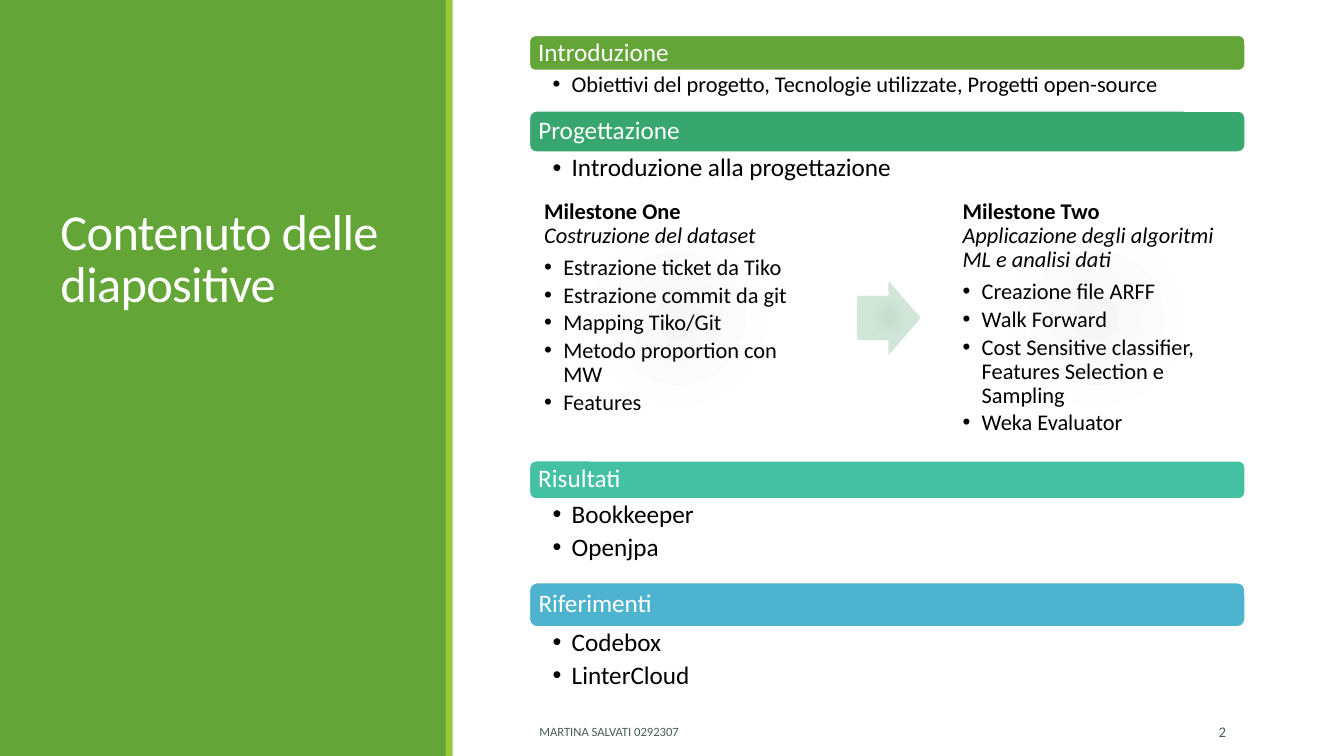
import pptx
import pptx.util
import pptx.dml.color
import pptx.enum.shapes
import pptx.enum.text
import pptx.oxml
import pptx.oxml.ns

Inches = pptx.util.Inches
Pt = pptx.util.Pt
SHAPE = pptx.enum.shapes.MSO_SHAPE
ANCHOR = pptx.enum.text.MSO_ANCHOR
ALIGN = pptx.enum.text.PP_ALIGN

COLORS = {
    "panel": "63A537", "stripe": "99CB38", "white": "FFFFFF", "black": "000000",
    "footer": "455F51", "intro": "63A537", "design": "37A76F",
    "results": "44C1A3", "references": "4EB3CF",
}
CARD_STOPS = {0: "F6F6F6", 45: "FEFEFE", 100: "FFFFFF"}
ARROW_STOPS = {0: "C5DDCE", 45: "D1E5D8", 100: "D5EADC"}

SECTIONS = [
    ("Introduzione", "intro", 0.35, 0.35, 0.4, 16,
     ["Obiettivi del progetto, Tecnologie utilizzate, Progetti open-source"]),
    ("Progettazione", "design", 1.1, 0.41, 3.05, 18, ["Introduzione alla progettazione"]),
    ("Risultati", "results", 4.57, 0.38, 0.83, 18, ["Bookkeeper", "Openjpa"]),
    ("Riferimenti", "references", 5.78, 0.44, 0.83, 18, ["Codebox", "LinterCloud"]),
]
MILESTONES = [
    ("Milestone One", "Costruzione del dataset",
     ["Estrazione ticket da Tiko", "Estrazione commit da git", "Mapping Tiko/Git",
      "Metodo proportion con MW", "Features"]),
    ("Milestone Two", "Applicazione degli algoritmi ML e analisi dati",
     ["Creazione file ARFF", "Walk Forward",
      "Cost Sensitive classifier, Features Selection e Sampling", "Weka Evaluator"]),
]


def rgb(name):
    """Return the palette colour with this name."""
    return pptx.dml.color.RGBColor.from_string(COLORS[name])


def apply(obj, **fmt):
    """Set each format value as an attribute."""
    for key, value in fmt.items():
        setattr(obj, key, value)


def place(sp, x, y, w, h):
    """Move and size a shape, in inches."""
    apply(sp, left=Inches(x), top=Inches(y), width=Inches(w), height=Inches(h))


def frame(sp, anchor, left=0.1, top=0.05, right=0.1, bottom=0.05):
    """Set up the text frame of a shape and return it."""
    tf = sp.text_frame
    apply(tf, word_wrap=True, auto_size=pptx.enum.text.MSO_AUTO_SIZE.NONE,
          vertical_anchor=anchor, margin_left=Inches(left), margin_top=Inches(top),
          margin_right=Inches(right), margin_bottom=Inches(bottom))
    return tf


def add_run(p, text, size, color, bold=False, italic=False):
    """Add a formatted run to a paragraph."""
    r = p.add_run()
    r.text = text
    apply(r.font, name="Calibri", size=Pt(size), bold=bold, italic=italic)
    r.font.color.rgb = rgb(color)
    return r


def format_par(p, spacing=0.9, after=0, align=ALIGN.LEFT):
    """Set the spacing and alignment of a paragraph."""
    apply(p, line_spacing=spacing, space_before=Pt(0), space_after=Pt(after), alignment=align)


def add_bullet(p, text, size, gap):
    """Fill a paragraph as a bulleted item, with its gap a share of the size."""
    format_par(p, after=size * gap)
    pPr = p._p.get_or_add_pPr()
    pPr.set("marL", str(Inches(0.19)))
    pPr.set("indent", str(-Inches(0.19)))
    ns = pptx.oxml.ns.nsdecls("a")
    pPr.append(pptx.oxml.parse_xml(f'<a:buFont {ns} typeface="Arial"/>'))
    pPr.append(pptx.oxml.parse_xml(f'<a:buChar {ns} char="•"/>'))
    add_run(p, text, size, "black")


def add_box(s, kind, x, y, w, h, color=None):
    """Add a preset shape with no shadow or line."""
    sp = s.shapes.add_shape(kind, Inches(x), Inches(y), Inches(w), Inches(h))
    sp.shadow.inherit = False
    sp.line.fill.background()
    if color:
        sp.fill.solid()
        sp.fill.fore_color.rgb = rgb(color)
    return sp


def fill_radial(sp, stops):
    """Give a shape a circular gradient."""
    gs = "".join(f'<a:gs pos="{pos * 1000}"><a:srgbClr val="{c}"/></a:gs>'
                 for pos, c in stops.items())
    grad = pptx.oxml.parse_xml(
        f'<a:gradFill {pptx.oxml.ns.nsdecls("a")} rotWithShape="1"><a:gsLst>{gs}</a:gsLst>'
        '<a:path path="circle"><a:fillToRect l="100000" t="100000" r="100000" b="100000"/>'
        '</a:path></a:gradFill>')
    sp._element.spPr.find(pptx.oxml.ns.qn("a:prstGeom")).addnext(grad)


def add_panel(s, x, y, w, h):
    """Draw the green side panel with the slide title."""
    add_box(s, SHAPE.RECTANGLE, x, y, w, h, "panel")
    add_box(s, SHAPE.RECTANGLE, x + w - 0.01, y, 0.07, h, "stripe")
    title = s.shapes.title
    s.shapes._spTree.append(title._element)
    place(title, x + 0.5, y + 0.65, 3.5, 2.5)
    p = frame(title, ANCHOR.BOTTOM).paragraphs[0]
    format_par(p, 0.85)
    r = add_run(p, "Contenuto delle diapositive", 36, "white")
    r.font._element.set("spc", "-50")


def add_section(s, body, section, x, w):
    """Draw a coloured heading bar with its list below."""
    name, color, y, bar_h, body_h, size, items = section
    bar = add_box(s, SHAPE.ROUNDED_RECTANGLE, x, y, w, bar_h, color)
    bar.line.color.rgb = rgb("white")
    bar.line.width = Pt(1.25)
    p = frame(bar, ANCHOR.MIDDLE, 0.07, 0.07, 0.07, 0.07).paragraphs[0]
    format_par(p)
    add_run(p, name, 18, "white")
    place(body, x, y + bar_h, w, body_h)
    tf = frame(body, ANCHOR.TOP, 0.23, 0.03, 0.13, 0.03)
    for i, item in enumerate(items):
        add_bullet(tf.add_paragraph() if i else tf.paragraphs[0], item, size, 0.2)


def add_milestone(s, milestone, x, y, w, h):
    """Draw one milestone card."""
    name, subtitle, items = milestone
    card = add_box(s, SHAPE.ROUNDED_RECTANGLE, x, y, w, h)
    card.adjustments[0] = 0.1
    fill_radial(card, CARD_STOPS)
    tf = frame(card, ANCHOR.TOP, 0.07, 0.07, 0.07, 0.07)
    p = tf.paragraphs[0]
    format_par(p, after=16 * 0.35)
    add_run(p, name, 16, "black", bold=True)
    p.add_line_break()
    add_run(p, subtitle, 16, "black", italic=True)
    for item in items:
        add_bullet(tf.add_paragraph(), item, 16, 0.15)


def add_process(s, x, y, w, h):
    """Draw the two milestone cards with an arrow between them."""
    card_w = 2.95
    for i, milestone in enumerate(MILESTONES):
        add_milestone(s, milestone, x + i * (w - card_w), y, card_w, h)
    arrow = add_box(s, SHAPE.RIGHT_ARROW, x + 3.25, y + (h - 0.73) / 2, 0.63, 0.73)
    arrow.adjustments[0] = 0.6
    fill_radial(arrow, ARROW_STOPS)


def add_footer(s, x, y, h):
    """Write the author and the slide number."""
    for text, dx, w, size, align in [("MARTINA SALVATI 0292307", 0, 5.08, 9, ALIGN.LEFT),
                                     ("2", 5.58, 1.43, 10.5, ALIGN.RIGHT)]:
        sp = s.shapes.add_textbox(Inches(x + dx), Inches(y), Inches(w), Inches(h))
        p = frame(sp, ANCHOR.MIDDLE).paragraphs[0]
        format_par(p, 1.0, align=align)
        add_run(p, text, size, "footer")


def main():
    """Build the contents slide."""
    prs = pptx.Presentation()
    apply(prs, slide_width=Inches(13.33), slide_height=Inches(7.5))
    s = prs.slides.add_slide(prs.slide_layouts.get_by_name("Comparison"))
    bodies = [ph for ph in s.placeholders if ph.placeholder_format.idx]
    add_panel(s, 0, 0, 4.43, 7.5)
    for body, section in zip(bodies, SECTIONS):
        add_section(s, body, section, 5.25, 7.1)
    add_process(s, 5.25, 1.84, 7.1, 2.63)
    add_footer(s, 5.25, 7.06, 0.4)
    prs.save("out.pptx")


if __name__ == "__main__":
    main()
